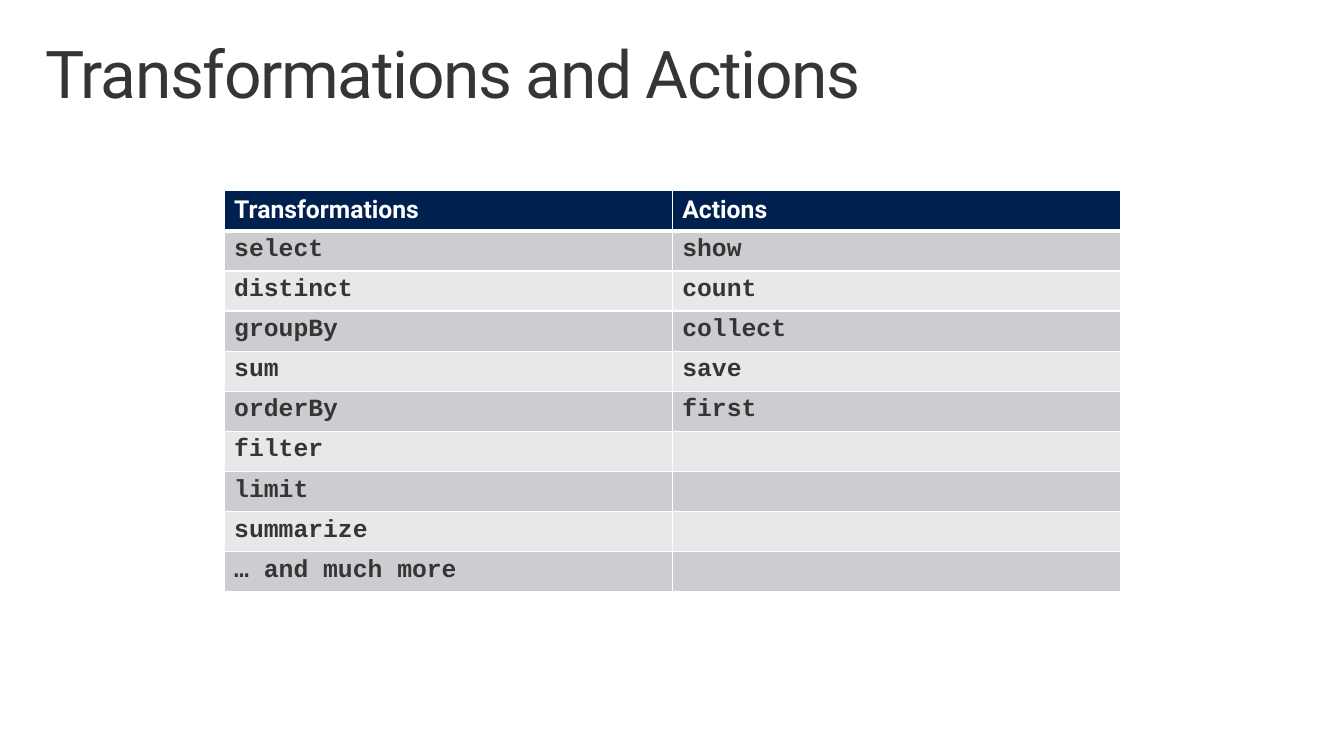
from itertools import zip_longest

from lxml import etree
from pptx import Presentation
from pptx.dml.color import RGBColor
from pptx.enum.text import MSO_ANCHOR, PP_ALIGN
from pptx.oxml.ns import qn
from pptx.util import Inches, Pt

TOP = MSO_ANCHOR.TOP
LEFT = PP_ALIGN.LEFT
TITLE_ONLY = 5
COLORS = {"ink": "353535", "white": "FFFFFF", "navy": "002050",
          "band_dark": "CCCDD0", "band_light": "E7E8E9"}
TITLE_FONT = {"name": "Roboto", "size": Pt(48), "bold": False}
HEADER_FONT = {"name": "Roboto", "size": Pt(18), "bold": True}
CODE_FONT = {"name": "Courier New", "size": Pt(18), "bold": True}
TITLE_FRAME = {"margin_left": Inches(0.16), "margin_right": Inches(0.16),
               "margin_top": Inches(0.1), "margin_bottom": Inches(0.1),
               "vertical_anchor": TOP, "word_wrap": True}

HEADERS = ("Transformations", "Actions")
TRANSFORMATIONS = ("select", "distinct", "groupBy", "sum", "orderBy",
                   "filter", "limit", "summarize", "… and much more")
ACTIONS = ("show", "count", "collect", "save", "first")


def set_values(target, values):
    for name, value in values.items():
        setattr(target, name, value)


class SlideBuilder:
    """Holds the colours and the current slide, and adds its elements."""

    def __init__(self, deck, colors):
        self.colors = colors
        self.slide = deck.slides.add_slide(deck.slide_layouts[TITLE_ONLY])

    def color(self, name):
        return RGBColor.from_string(self.colors[name])

    def add_span(self, para, text, font, color):
        para.alignment = LEFT
        span = para.add_run()
        span.text = text
        set_values(span.font, font)
        span.font.color.rgb = self.color(color)
        return span

    def title(self, text, left, top, width, height):
        box = self.slide.shapes.title
        set_values(box, {"left": Inches(left), "top": Inches(top),
                         "width": Inches(width), "height": Inches(height)})
        set_values(box.text_frame, TITLE_FRAME)
        para = box.text_frame.paragraphs[0]
        para.line_spacing = 0.9
        span = self.add_span(para, text, TITLE_FONT, "ink")
        span._r.get_or_add_rPr().set("spc", "-100")

    def borders(self, cell, widths):
        properties = cell._tc.get_or_add_tcPr()
        for position, (side, width) in enumerate(widths.items()):
            line = etree.Element(qn(f"a:ln{side}"), w=str(Pt(width)))
            fill = etree.SubElement(line, qn("a:solidFill"))
            etree.SubElement(fill, qn("a:srgbClr"), val=self.colors["white"])
            properties.insert(position, line)

    def cell(self, cell, text, font, color, fill, widths):
        cell.fill.solid()
        cell.fill.fore_color.rgb = self.color(fill)
        self.borders(cell, widths)
        if text:
            self.add_span(cell.text_frame.paragraphs[0], text, font, color)

    def table(self, headers, rows, left, top, width, height):
        frame = self.slide.shapes.add_table(
            len(rows) + 1, len(headers), Inches(left), Inches(top),
            Inches(width), Inches(height))
        for row, texts in enumerate([headers, *rows]):
            if row == 0:
                look = (HEADER_FONT, "white", "navy")
            else:
                look = (CODE_FONT, "ink", "band_dark" if row % 2 else "band_light")
            widths = {"L": 1, "R": 1, "T": 3 if row == 1 else 1,
                      "B": 3 if row == 0 else 1}
            for column, text in enumerate(texts):
                self.cell(frame.table.cell(row, column), text, *look, widths)


def main():
    deck = Presentation()
    set_values(deck, {"slide_width": Inches(13.6), "slide_height": Inches(7.65)})
    page = SlideBuilder(deck, COLORS)
    page.title("Transformations and Actions", 0.3, 0.32, 13, 1)
    operations = list(zip_longest(TRANSFORMATIONS, ACTIONS, fillvalue=""))
    page.table(HEADERS, operations, 2.27, 1.93, 9.07, 4.06)
    deck.save("out.pptx")


if __name__ == "__main__":
    main()
